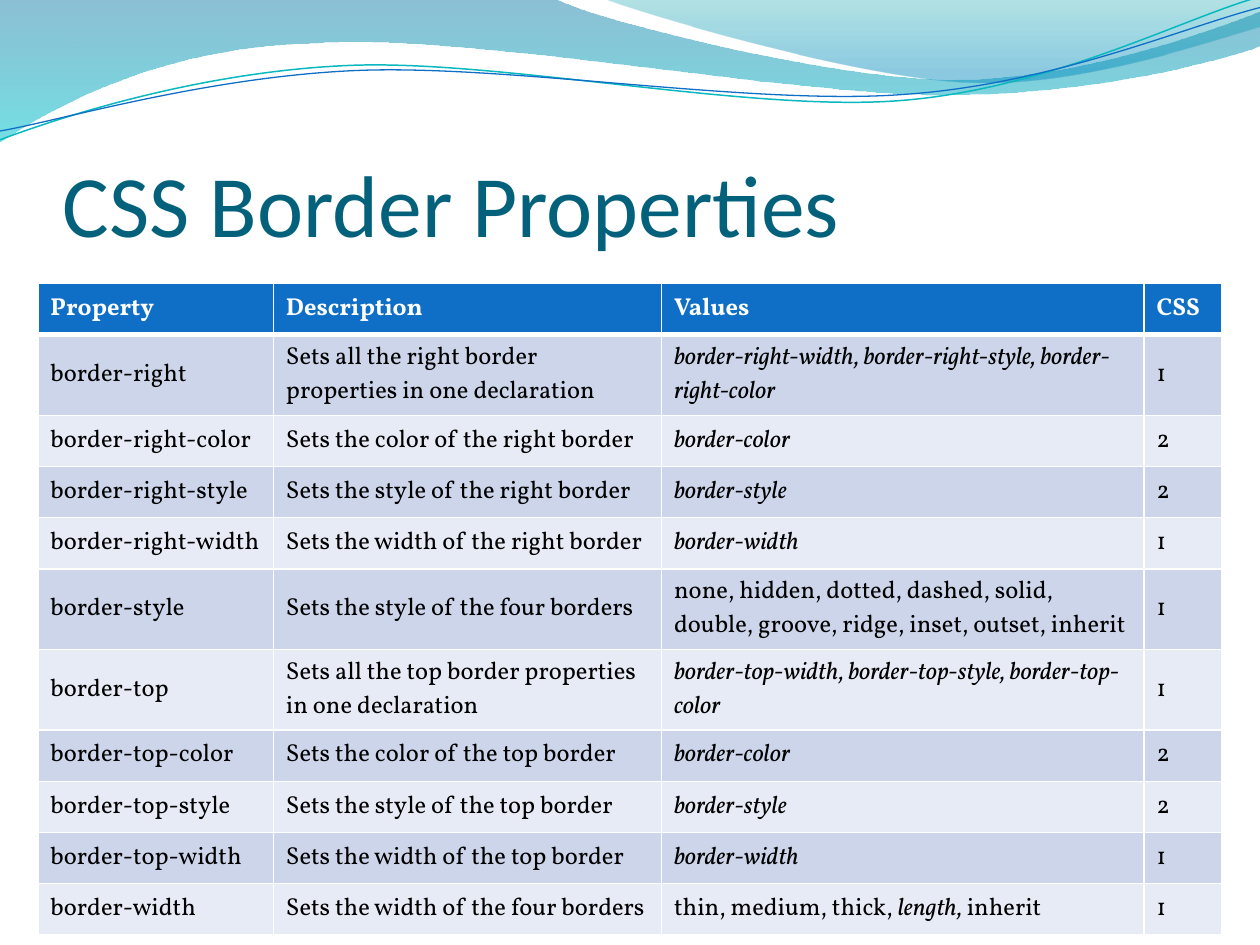
"""Build the CSS Border Properties slide: a wave banner, a title and a table."""
from dataclasses import dataclass
from typing import Optional

from lxml.etree import SubElement
from pptx import Presentation
from pptx.dml.color import RGBColor
from pptx.enum.text import MSO_ANCHOR as Anchor
from pptx.oxml.ns import qn
from pptx.util import Inches, Pt

WIDTH, HEIGHT = 10, 7.5
ROW_HEIGHT, TALL_ROW_HEIGHT = 4.47 / 11, 0.64
COLUMN_WIDTHS = (1.87, 3.08, 3.83, 0.62)
HEADINGS = ("Property", "Description", "Values", "CSS")
HEADER_FILL, BAND_FILLS = "0F6FC6", ("CCD5EA", "E7EBF5")


@dataclass
class Stop:
    position: float
    color: str
    opacity: int


@dataclass
class Wave:
    """Each segment holds one end point, or two control points and an end point."""
    start: tuple
    segments: tuple
    stops: tuple = ()
    line: Optional[str] = None
    weight: float = 0


@dataclass
class Run:
    text: str
    italic: bool = False


@dataclass
class Property:
    name: str
    description: str
    values: tuple
    version: str
    tall: bool = False


WAVES = (
    Wave((0, 0), (
        ((4.4, -0.01),),
        ((4.76, 0.17), (6.64, 0.63), (7.58, 0.63)),
        ((8.53, 0.63), (9.58, 0.26), (10, 0.09)),
        ((10.01, 0.36),),
        ((9.83, 0.44), (8.7, 0.76), (7.46, 0.75)),
        ((6.22, 0.75), (3.82, 0.28), (2.57, 0.34)),
        ((1.29, 0.36), (0.46, 0.83), (-0.01, 1.13)),
        ((0, 0),),
    ), stops=(Stop(0, "0074A1", 45), Stop(1, "00C6CF", 55))),
    Wave((4.79, -0.01), (
        ((5.09, 0.11), (6.82, 0.62), (7.69, 0.65)),
        ((8.56, 0.69), (9.61, 0.32), (10, 0.21)),
        ((10, 0),),
        ((4.79, -0.01),),
    ), stops=(Stop(0, "00A1A9", 30), Stop(0.8, "008BBF", 45))),
    Wave((0, 1.11), (
        ((0.48, 0.93), (1.58, 0.57), (2.77, 0.52)),
        ((3.95, 0.47), (5.93, 0.89), (7.13, 0.8)),
        ((8.33, 0.71), (9.38, 0.15), (9.98, -0.02)),
    ), line="0AB8BF", weight=0.85),
    Wave((0, 1.04), (
        ((0.47, 0.96), (1.64, 0.61), (2.83, 0.56)),
        ((4.03, 0.51), (5.97, 0.84), (7.17, 0.75)),
        ((8.36, 0.67), (9.41, 0.21), (10, 0.06)),
    ), line="0F6FC6", weight=0.75),
)


def side_properties(side: str) -> list[Property]:
    """Return the four properties that every side of a border has."""
    name = f"border-{side}"
    shorthand = ", ".join(f"{name}-{part}" for part in ("width", "style", "color"))
    return [
        Property(name, f"Sets all the {side} border properties in one declaration",
                 (Run(shorthand, True),), "1", tall=True),
        *(Property(f"{name}-{part}", f"Sets the {part} of the {side} border",
                   (Run(f"border-{part}", True),), version)
          for part, version in (("color", "2"), ("style", "2"), ("width", "1"))),
    ]


PROPERTIES = (
    *side_properties("right"),
    Property("border-style", "Sets the style of the four borders",
             (Run("none, hidden, dotted, dashed, solid, double, groove, ridge, "
                  "inset, outset, inherit"),), "1", tall=True),
    *side_properties("top"),
    Property("border-width", "Sets the width of the four borders",
             (Run("thin, medium, thick, "), Run("length, ", True), Run("inherit")), "1"),
)


def rgb(color: str) -> RGBColor:
    return RGBColor.from_string(color)


def bend(shape, segments: tuple) -> None:
    """Turn each run of three straight steps that forms a segment into one curve."""
    outline = next(shape.element.iter(qn("a:path")))
    steps = iter(outline.findall(qn("a:lnTo")))
    for segment in segments:
        first, *others = [next(steps) for _ in segment]
        if others:
            first.tag = qn("a:cubicBezTo")
            for step in others:
                first.append(step[0])
                outline.remove(step)


def draw_wave(slide, wave: Wave) -> None:
    builder = slide.shapes.build_freeform(*map(Inches, wave.start), scale=1.0)
    builder.add_line_segments(
        [(Inches(x), Inches(y)) for segment in wave.segments for x, y in segment],
        close=bool(wave.stops))
    shape = builder.convert_to_shape()
    bend(shape, wave.segments)
    shape.shadow.inherit = False
    if wave.line:
        shape.fill.background()
        shape.line.color.rgb = rgb(wave.line)
        shape.line.width = Pt(wave.weight)
        return
    shape.line.fill.background()
    shape.fill.gradient()
    shape.fill.gradient_angle = 270
    for target, stop in zip(shape.fill.gradient_stops, wave.stops):
        target.position = stop.position
        target.color.rgb = rgb(stop.color)
    for color, stop in zip(shape.element.spPr.iter(qn("a:srgbClr")), wave.stops):
        SubElement(color, qn("a:alpha"), val=str(stop.opacity * 1000))


def add_run(paragraph, text: str, font: str, size: float, color: str,
            bold: bool = False, italic: bool = False) -> None:
    run = paragraph.add_run()
    run.text = text
    run.font.name, run.font.size = font, Pt(size)
    run.font.bold, run.font.italic = bold, italic
    run.font.color.rgb = rgb(color)


def draw_title(slide, text: str) -> None:
    box = slide.shapes.add_textbox(Inches(0.5), Inches(0.77), Inches(9), Inches(1.25))
    frame = box.text_frame
    frame.word_wrap = True
    frame.vertical_anchor = Anchor.BOTTOM
    frame.margin_left = frame.margin_right = frame.margin_bottom = 0
    frame.margin_top = Inches(0.05)
    add_run(frame.paragraphs[0], text, "Calibri", 50, "04617B")


def add_borders(cell, top: float, bottom: float) -> None:
    """Give the cell white borders, before its fill is set."""
    properties = cell._tc.get_or_add_tcPr()
    for tag, weight in (("lnL", 1), ("lnR", 1), ("lnT", top), ("lnB", bottom)):
        line = SubElement(properties, qn(f"a:{tag}"), w=str(Pt(weight)))
        SubElement(SubElement(line, qn("a:solidFill")), qn("a:srgbClr"), val="FFFFFF")


def draw_table(slide) -> None:
    rows = [[(Run(heading),) for heading in HEADINGS]]
    rows += [[(Run(item.name),), (Run(item.description),), item.values, (Run(item.version),)]
             for item in PROPERTIES]
    heights = [ROW_HEIGHT, *(TALL_ROW_HEIGHT if item.tall else ROW_HEIGHT
                             for item in PROPERTIES)]
    table = slide.shapes.add_table(
        len(rows), len(HEADINGS), Inches(0.3), Inches(2.25),
        Inches(sum(COLUMN_WIDTHS)), Inches(sum(heights))).table
    for column, width in zip(table.columns, COLUMN_WIDTHS):
        column.width = Inches(width)
    for row_index, (row, height) in enumerate(zip(rows, heights)):
        table.rows[row_index].height = Inches(height)
        header = row_index == 0
        for column_index, runs in enumerate(row):
            cell = table.cell(row_index, column_index)
            add_borders(cell, top=3 if row_index == 1 else 1, bottom=3 if header else 1)
            cell.fill.solid()
            cell.fill.fore_color.rgb = rgb(
                HEADER_FILL if header else BAND_FILLS[(row_index - 1) % 2])
            cell.vertical_anchor = Anchor.MIDDLE
            for run in runs:
                add_run(cell.text_frame.paragraphs[0], run.text, "Vollkorn", 14,
                        "FFFFFF" if header else "000000", header, run.italic)


presentation = Presentation()
presentation.slide_width, presentation.slide_height = Inches(WIDTH), Inches(HEIGHT)
main_slide = presentation.slides.add_slide(presentation.slide_layouts[6])
for banner_wave in WAVES:
    draw_wave(main_slide, banner_wave)
draw_title(main_slide, "CSS Border Properties")
draw_table(main_slide)
presentation.save("out.pptx")
